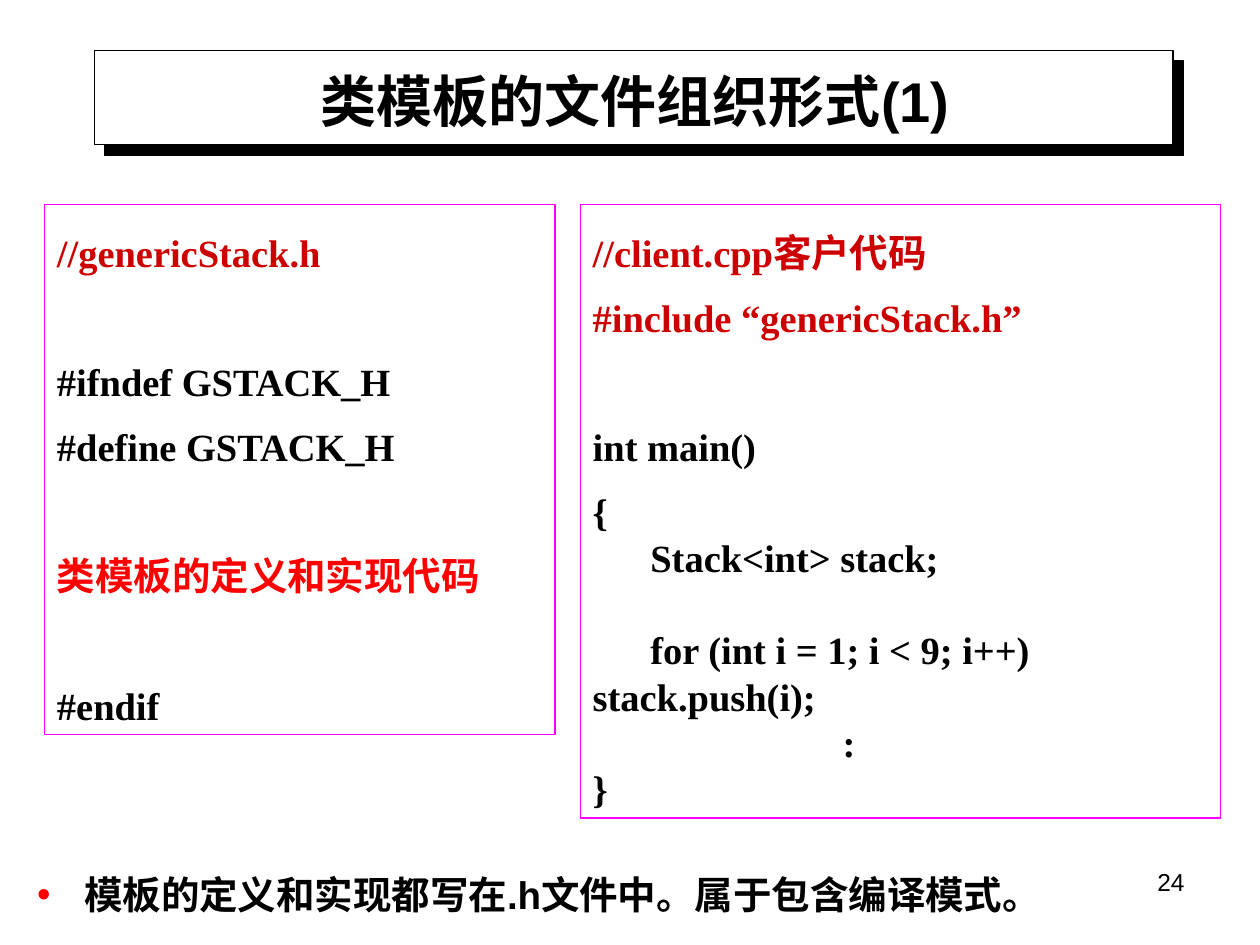
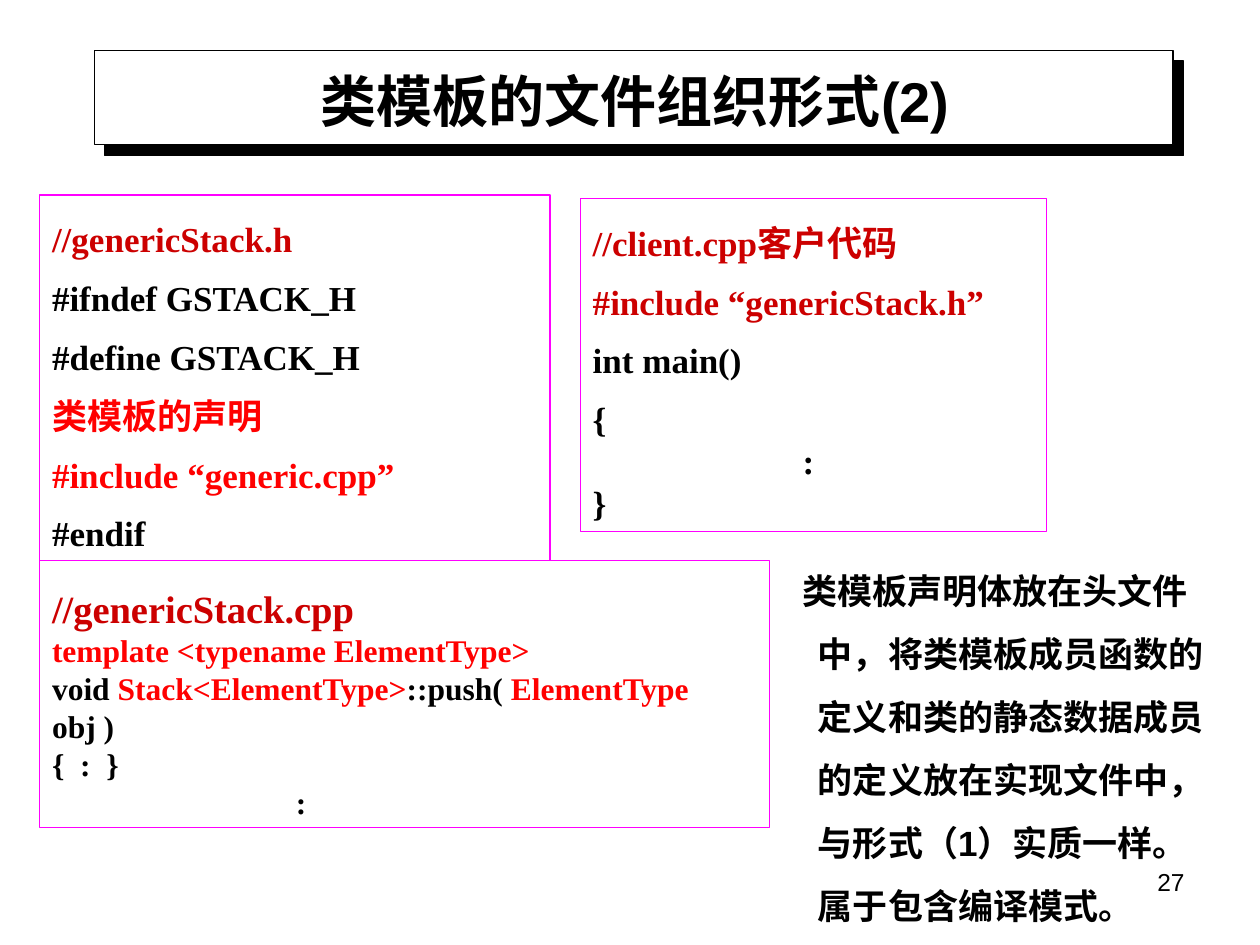
import lxml.etree
import pptx
import pptx.dml.color
import pptx.enum.shapes
import pptx.enum.text
import pptx.oxml
import pptx.oxml.ns
import pptx.util

Cm = pptx.util.Cm
Pt = pptx.util.Pt
RGBColor = pptx.dml.color.RGBColor
Align = pptx.enum.text.PP_ALIGN
Anchor = pptx.enum.text.MSO_ANCHOR
RECTANGLE = pptx.enum.shapes.MSO_SHAPE.RECTANGLE

BLACK = RGBColor(0, 0, 0)
WHITE = RGBColor(255, 255, 255)
RED = RGBColor(255, 0, 0)
DARK_RED = RGBColor(204, 0, 0)
MAGENTA = RGBColor(255, 0, 255)

LOOSE = 1.4
TIGHT = 1.0
LOOSE_GAP = 37
TIGHT_GAP = 26.5
NAMESPACE = pptx.oxml.ns.nsdecls("a")
SHADOW = (
    f'<a:effectLst {NAMESPACE}><a:outerShdw dist="107950" dir="2700000" algn="ctr" rotWithShape="0">'
    '<a:srgbClr val="000000"/></a:outerShdw></a:effectLst>'
)
BULLET = (
    f'<a:buClr {NAMESPACE}><a:srgbClr val="FF0000"/></a:buClr>',
    f'<a:buFont {NAMESPACE} typeface="Arial"/>',
    f'<a:buChar {NAMESPACE} char="•"/>',
)


def format_span(span, size, color=BLACK, name="Arial", bold=True):
    span.font.size = Pt(size)
    span.font.color.rgb = color
    span.font.name = name
    span.font.bold = bold


def add_text(page, frame, text, size, bold=True):
    box = page.shapes.add_textbox(*map(Cm, frame))
    box.text_frame.word_wrap = True
    box.text_frame.text = text
    para = box.text_frame.paragraphs[0]
    format_span(para.runs[0], size, bold=bold)
    return box, para


slides = [
    {
        "title": "类模板的文件组织形式(1)",
        "number": "24",
        "listings": [
            ((0.9, 4.12, 10.29, 10.69), [
                (22, LOOSE, 0, [("//genericStack.h", DARK_RED)]),
                (22, LOOSE, LOOSE_GAP, [("#ifndef GSTACK_H", BLACK)]),
                (22, LOOSE, 0, [("#define GSTACK_H", BLACK)]),
                (22, LOOSE, LOOSE_GAP, [("类模板的定义和实现代码", RED)]),
                (22, LOOSE, LOOSE_GAP, [("#endif", BLACK)]),
            ]),
            ((11.7, 4.12, 12.9, 12.37), [
                (22, LOOSE, 0, [("//client.cpp客户代码", DARK_RED)]),
                (22, LOOSE, 0, [("#include “genericStack.h”", DARK_RED)]),
                (22, LOOSE, LOOSE_GAP, [("int main()", BLACK)]),
                (22, LOOSE, 0, [("{", BLACK)]),
                (22, TIGHT, 0, [("      Stack<int> stack;", BLACK)]),
                (22, TIGHT, TIGHT_GAP, [("      for (int i = 1; i < 9; i++) stack.push(i);", BLACK)]),
                (22, TIGHT, 0, [("                          :", BLACK)]),
                (22, TIGHT, 0, [("}", BLACK)]),
            ]),
        ],
        "note": ((0.5, 16.97, 22.86, 2.36), "模板的定义和实现都写在.h文件中。属于包含编译模式。", 22, -0.95, BULLET),
    },
    {
        "title": "类模板的文件组织形式(2)",
        "number": "27",
        "listings": [
            ((0.8, 3.93, 10.29, 7.37), [
                (20, LOOSE, 0, [("//genericStack.h", DARK_RED)]),
                (20, LOOSE, 0, [("#ifndef GSTACK_H", BLACK)]),
                (20, LOOSE, 0, [("#define GSTACK_H", BLACK)]),
                (20, LOOSE, 0, [("类模板的声明", RED)]),
                (20, LOOSE, 0, [("#include “generic.cpp”", RED)]),
                (20, LOOSE, 0, [("#endif", BLACK)]),
            ]),
            ((11.7, 4, 9.4, 6.71), [
                (20, LOOSE, 0, [("//client.cpp客户代码", DARK_RED)]),
                (20, LOOSE, 0, [("#include “genericStack.h”", DARK_RED)]),
                (20, LOOSE, 0, [("int main()", BLACK)]),
                (20, LOOSE, 0, [("{", BLACK)]),
                (20, TIGHT, 0, [("                        :", BLACK)]),
                (20, TIGHT, 0, [("}", BLACK)]),
            ]),
            ((0.8, 11.3, 14.71, 5.38), [
                (22, LOOSE, 0, [("//genericStack.cpp", DARK_RED)]),
                (18, TIGHT, 0, [("template <typename ElementType>", RED)]),
                (18, TIGHT, 0, [("void ", BLACK), ("Stack<ElementType>", RED), ("::push( ", BLACK),
                                ("ElementType", RED), (" obj )", BLACK)]),
                (18, TIGHT, 0, [("{  :  }", BLACK)]),
                (18, TIGHT, 0, [("                               :", BLACK)]),
            ]),
        ],
        "note": (
            (15.29, 10.94, 9.4, 8.18),
            "类模板声明体放在头文件中，将类模板成员函数的定义和类的静态数据成员的定义放在实现文件中，"
            "与形式（1）实质一样。属于包含编译模式。",
            20, -0.32, (),
        ),
    },
]

deck = pptx.Presentation()
deck.slide_width = Cm(25.4)
deck.slide_height = Cm(19.05)

for content in slides:
    page = deck.slides.add_slide(deck.slide_layouts[6])

    band = page.shapes.add_shape(RECTANGLE, Cm(1.9), Cm(1.02), Cm(21.75), Cm(1.9))
    band.fill.solid()
    band.fill.fore_color.rgb = WHITE
    band.line.color.rgb = BLACK
    band.line.width = Pt(0.75)
    band.element.spPr.append(pptx.oxml.parse_xml(SHADOW))

    box, para = add_text(page, (18.21, 17.35, 5.92, 1.32), content["number"], 14, bold=False)
    para.alignment = Align.RIGHT

    box, para = add_text(page, (2.1, 1.12, 21.4, 1.8), content["title"], 32)
    box.text_frame.vertical_anchor = Anchor.MIDDLE
    para.alignment = Align.CENTER

    for frame, lines in content["listings"]:
        box = page.shapes.add_shape(RECTANGLE, *map(Cm, frame))
        box.shadow.inherit = False
        box.fill.background()
        box.line.color.rgb = MAGENTA
        box.line.width = Pt(0.75)
        text_frame = box.text_frame
        text_frame.word_wrap = True
        text_frame.auto_size = pptx.enum.text.MSO_AUTO_SIZE.SHAPE_TO_FIT_TEXT
        text_frame.vertical_anchor = Anchor.TOP
        for index, (size, spacing, gap, spans) in enumerate(lines):
            para = text_frame.add_paragraph() if index else text_frame.paragraphs[0]
            para.alignment = Align.LEFT
            para.line_spacing = spacing
            para.space_before = Pt(gap)
            for text, color in spans:
                span = para.add_run()
                span.text = text
                format_span(span, size, color, "Times New Roman")

    frame, text, size, indent, bullet = content["note"]
    box, para = add_text(page, frame, text, size)
    para.line_spacing = 1.5
    properties = para._p.get_or_add_pPr()
    properties.set("marL", str(Cm(0.95)))
    properties.set("indent", str(Cm(indent)))
    for element in bullet:
        properties.append(pptx.oxml.parse_xml(element))

deck.save("out.pptx")
